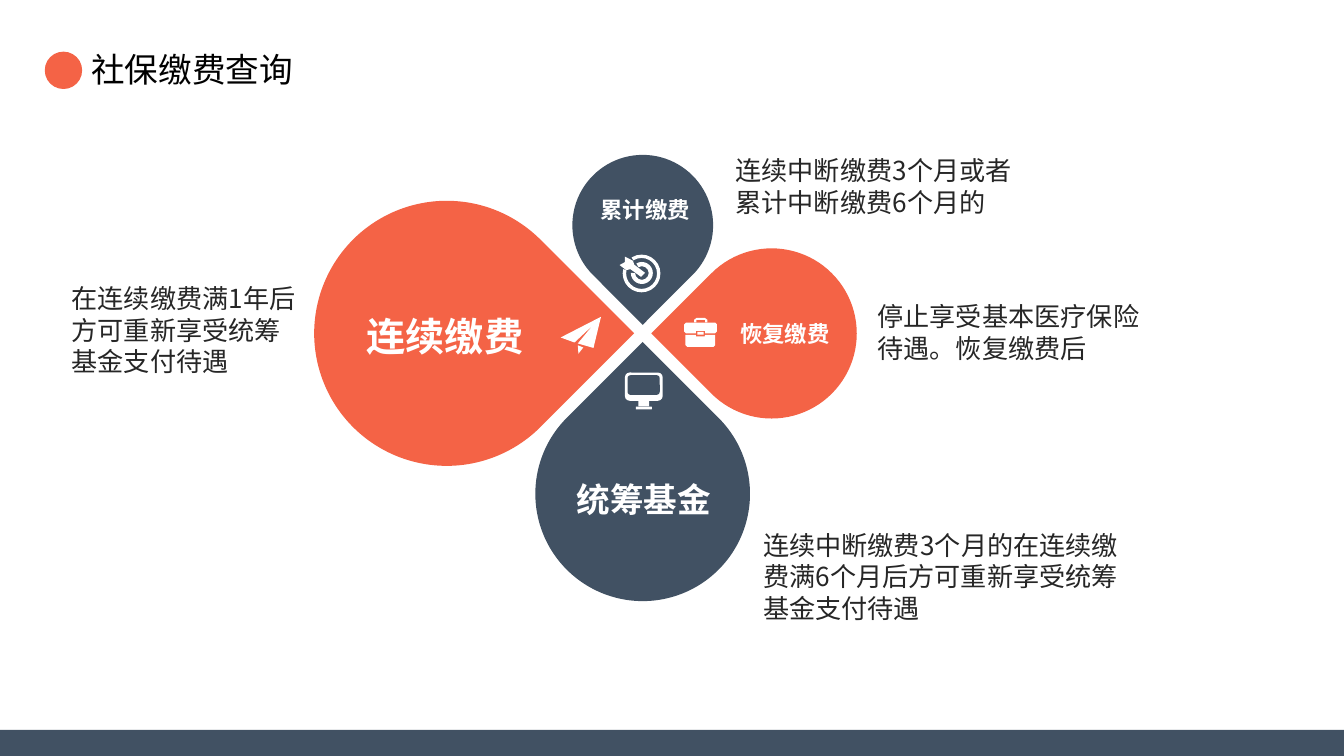
import math
from lxml import etree
from pptx import Presentation
from pptx.dml.color import RGBColor
from pptx.enum.shapes import MSO_SHAPE
from pptx.enum.text import PP_ALIGN
from pptx.oxml.ns import qn
from pptx.util import Pt

OVAL, RECTANGLE = MSO_SHAPE.OVAL, MSO_SHAPE.RECTANGLE
ROUNDED, TEAR = MSO_SHAPE.ROUNDED_RECTANGLE, MSO_SHAPE.TEAR
BLOCK_ARC = MSO_SHAPE.BLOCK_ARC
LEFT, CENTER = PP_ALIGN.LEFT, PP_ALIGN.CENTER

COLORS = {"coral": "F46346", "slate": "415163", "white": "FFFFFF",
          "body": "262626", "title": "000000"}
CJK_FONT = "Noto Sans CJK SC"
WIDTH, HEIGHT = 720, 405

HUB = (344.3, 178.6)
TIP_GAP = 4.6
DROPS = [
    {"direction": (-1, 0), "radius": 71, "rotation": 45, "color": "coral"},
    {"direction": (0, 1), "radius": 57.5, "rotation": 315, "color": "slate"},
    {"direction": (0, -1), "radius": 37.7, "rotation": 135, "color": "slate"},
    {"direction": (1, 0), "radius": 45.6, "rotation": 225, "color": "coral"},
]

TITLE = ("社保缴费查询", (41.8, 22.6, 123.8, 28.8))
LABELS = [
    ("连续缴费", (179.6, 163.8, 117.4, 32.4), 21),
    ("统筹基金", (301.7, 253.1, 86.4, 28.8), 18),
    ("累计缴费", (309.3, 101.5, 72.7, 21.6), 12),
    ("恢复缴费", (384.1, 167.8, 72.7, 21.6), 12),
]
NOTES = [
    ("连续中断缴费3个月或者累计中断缴费6个月的", (386.9, 79.4, 165.6, 41)),
    ("停止享受基本医疗保险待遇。恢复缴费后", (463, 157.5, 165.6, 41)),
    ("连续中断缴费3个月的在连续缴费满6个月后方可重新享受统筹基金支付待遇",
     (401.7, 280.1, 216.7, 58.3)),
    ("在连续缴费满1年后方可重新享受统筹基金支付待遇",
     (31.3, 147.8, 138.2, 58.3)),
]

ICON_OUTLINES = {
    "plane wings": [(317.5, 174.4), (307.8, 183.5), (300.4, 180.8),
                    (322, 169.7), (318, 186.4), (309.6, 184)],
    "plane tail": [(309.6, 185), (312.5, 186.2), (309.9, 189.5)],
    "target arrow": [(343.4, 148.3), (337.7, 144.2), (335.5, 144.7),
                     (331.9, 142), (334.8, 140.4), (334.8, 137.5),
                     (339.1, 139.7), (339.8, 141.8), (345.6, 146.2)],
    "briefcase handle": [(371.9, 172.8), (371.9, 171.3), (373.2, 170.3),
                         (377.6, 170.3), (378.9, 171.3), (378.9, 172.8),
                         (377.7, 172.8), (377.7, 171.4), (373.1, 171.4),
                         (373.1, 172.8)],
    "briefcase lid": [(366.5, 173.8), (367.5, 172.8), (383.1, 172.8),
                      (384.1, 173.8), (384.1, 177.6), (383.1, 178.6),
                      (377.7, 178.6), (377.7, 177.2), (372.8, 177.2),
                      (372.8, 178.6), (367.5, 178.6), (366.5, 177.6)],
    "briefcase body": [(367.2, 179.4), (372.8, 179.4), (372.8, 180.2),
                       (377.7, 180.2), (377.7, 179.4), (383.2, 179.4),
                       (383.2, 184.9), (382.2, 185.9), (368.2, 185.9),
                       (367.2, 184.9)],
}
TARGET_RINGS = [
    ((333.6, 136.4, 20.2, 20.2), 238, 193, 0.09),
    ((338, 140.4, 11.8, 11.8), 240, 180, 0.19),
]
ICON_BLOCKS = {
    "monitor frame": (ROUNDED, (334.8, 199.6, 20.2, 15.1), "white"),
    "monitor screen": (ROUNDED, (336.2, 201, 17.3, 10.6), "slate"),
    "monitor neck": (RECTANGLE, (342, 214.7, 5.8, 3.1), "white"),
    "monitor base": (ROUNDED, (340.6, 217.8, 8.6, 1.6), "white"),
    "briefcase clasp": (RECTANGLE, (373.6, 177.8, 3.4, 1.6), "white"),
}


def color_of(name):
    return RGBColor.from_string(COLORS[name])


def paint(shape, color):
    shape.shadow.inherit = False
    shape.fill.solid()
    shape.fill.fore_color.rgb = color_of(color)
    shape.line.fill.background()
    return shape


def add_block(slide, kind, box, color):
    return paint(slide.shapes.add_shape(kind, *map(Pt, box)), color)


def add_outline(slide, points, color):
    builder = slide.shapes.build_freeform(*points[0], scale=Pt(1))
    fine = [tuple(round(value * 100) for value in point) for point in points]
    builder = slide.shapes.build_freeform(*fine[0], scale=Pt(1) / 100)
    builder.add_line_segments(fine[1:], close=True)
    return paint(builder.convert_to_shape(), color)


def add_text(slide, text, box, color, size, font, bold=False,
             alignment=LEFT, wrap=True):
    shape = slide.shapes.add_textbox(*map(Pt, box))
    shape.text_frame.word_wrap = wrap
    paragraph = shape.text_frame.paragraphs[0]
    paragraph.alignment = alignment
    run = paragraph.add_run()
    run.text = text
    for key, value in {"size": Pt(size), "name": font, "bold": bold}.items():
        setattr(run.font, key, value)
    run.font.color.rgb = color_of(color)
    east_asian = etree.SubElement(run.font._element, qn("a:ea"))
    east_asian.set("typeface", CJK_FONT)


def add_drop(slide, direction, radius, rotation, color):
    distance = TIP_GAP + radius * math.sqrt(2)
    left, top = (hub + step * distance - radius
                 for hub, step in zip(HUB, direction))
    box = (left, top, 2 * radius, 2 * radius)
    add_block(slide, TEAR, box, color).rotation = rotation


def add_ring(slide, box, start, end, thickness):
    ring = add_block(slide, BLOCK_ARC, box, "white")
    for index, value in enumerate((start * 0.6, end * 0.6, thickness)):
        ring.adjustments[index] = value


def main():
    presentation = Presentation()
    presentation.slide_width, presentation.slide_height = Pt(WIDTH), Pt(HEIGHT)
    slide = presentation.slides.add_slide(presentation.slide_layouts[6])

    add_text(slide, *TITLE, "title", 18, "Arial", wrap=False)
    add_block(slide, OVAL, (24, 27.7, 20, 20), "coral")
    add_block(slide, RECTANGLE, (0, 391, WIDTH, HEIGHT - 391), "slate")
    for drop in DROPS:
        add_drop(slide, **drop)
    for points in ICON_OUTLINES.values():
        add_outline(slide, points, "white")
    for ring in TARGET_RINGS:
        add_ring(slide, *ring)
    for block in ICON_BLOCKS.values():
        add_block(slide, *block)
    for text, box, size in LABELS:
        add_text(slide, text, box, "white", size, CJK_FONT, True, CENTER)
    for text, box in NOTES:
        add_text(slide, text, box, "body", 14, CJK_FONT)
    presentation.save("out.pptx")


if __name__ == "__main__":
    main()
